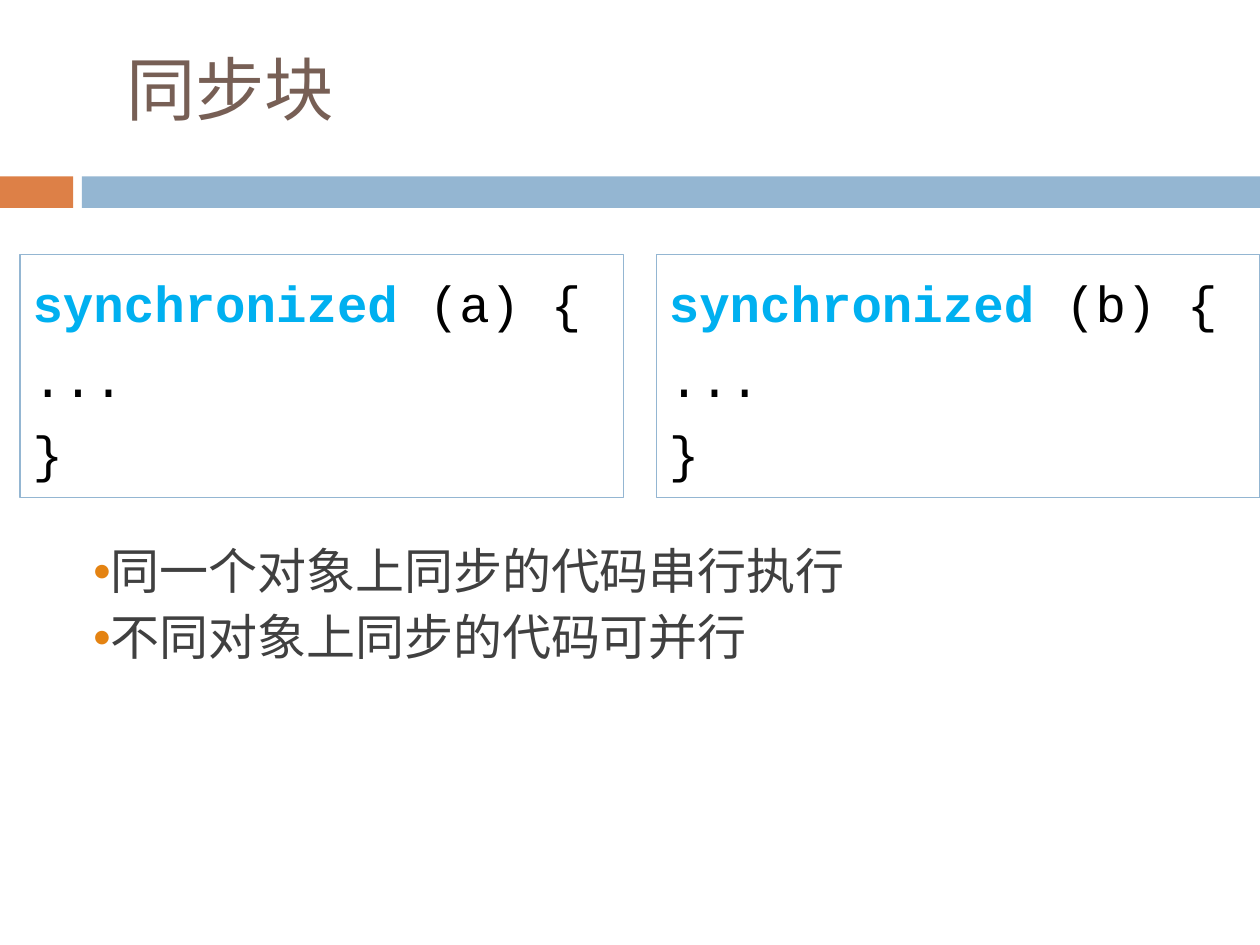
from lxml.etree import SubElement
from pptx import Presentation
from pptx.dml.color import RGBColor
from pptx.enum.shapes import MSO_SHAPE as Shape
from pptx.enum.text import MSO_ANCHOR as Anchor, PP_ALIGN as Align
from pptx.oxml.ns import qn
from pptx.util import Inches, Pt

ORANGE = RGBColor(0xDD, 0x80, 0x47)
BLUE = RGBColor(0x94, 0xB6, 0xD2)
BROWN = RGBColor(0x77, 0x5F, 0x55)
CYAN = RGBColor(0x00, 0xB0, 0xF0)
BLACK = RGBColor(0x00, 0x00, 0x00)
GREY = RGBColor(0x40, 0x40, 0x40)
BULLET_COLOR = "E48312"

CODE_LEFT, CODE_STEP = 0.16, 5.05
CODE_WIDTH, CODE_HEIGHT = 4.79, 1.93


def add_span(para, text, size, font, color, bold=False):
    span = para.add_run()
    span.text = text
    span.font.size = Pt(size)
    span.font.name = font
    span.font.color.rgb = color
    span.font.bold = bold
    return span


def add_chinese(para, text, size, font, color):
    span = add_span(para, text, size, font, color)
    SubElement(span.font._element, qn("a:ea"), typeface="Noto Sans CJK SC")


def next_para(frame, index):
    return frame.add_paragraph() if index else frame.paragraphs[0]


def add_rect(page, left, top, width, height):
    rect = page.shapes.add_shape(
        Shape.RECTANGLE, Inches(left), Inches(top), Inches(width), Inches(height))
    rect.shadow.inherit = False
    return rect


def add_bar(page, left, width, color):
    bar = add_rect(page, left, 1.4, width, 0.25)
    bar.fill.solid()
    bar.fill.fore_color.rgb = color
    bar.line.fill.background()


def set_title(page, text):
    title = page.shapes.title
    title.left, title.top = Inches(0.9), Inches(0.31)
    title.width, title.height = Inches(8.25), Inches(0.78)
    title.text_frame.vertical_anchor = Anchor.MIDDLE
    para = title.text_frame.paragraphs[0]
    para.alignment = Align.LEFT
    add_chinese(para, text, 39.6, "Calibri", BROWN)


def add_code(page, column, lock):
    box = add_rect(page, CODE_LEFT + column * CODE_STEP, 2.02, CODE_WIDTH, CODE_HEIGHT)
    box.fill.background()
    box.line.color.rgb = BLUE
    box.line.width = Pt(0.75)
    frame = box.text_frame
    frame.word_wrap = True
    frame.vertical_anchor = Anchor.TOP
    frame.margin_top = Inches(0.14)
    lines = [
        [("synchronized ", CYAN, True), (f"({lock}) {{", BLACK, False)],
        [("...", BLACK, False)],
        [("}", BLACK, False)],
    ]
    for index, line in enumerate(lines):
        para = next_para(frame, index)
        para.alignment = Align.LEFT
        if index:
            para.space_before = Pt(8)
        for text, color, bold in line:
            add_span(para, text, 29, "Courier New", color, bold)


def add_bullet(para):
    props = para._p.get_or_add_pPr()
    props.set("marL", str(Inches(0.1)))
    props.set("indent", str(-Inches(0.1)))
    color = SubElement(props, qn("a:buClr"))
    SubElement(color, qn("a:srgbClr"), val=BULLET_COLOR)
    SubElement(props, qn("a:buSzPct"), val="60000")
    SubElement(props, qn("a:buFont"), typeface="Calibri")
    SubElement(props, qn("a:buChar"), char="●")


def add_points(page, points):
    box = page.shapes.add_textbox(Inches(0.64), Inches(4.34), Inches(7.86), Inches(1.15))
    frame = box.text_frame
    frame.word_wrap = True
    frame.margin_top = 0
    for index, text in enumerate(points):
        para = next_para(frame, index)
        add_bullet(para)
        para.line_spacing = 0.9
        if index:
            para.space_before = Pt(7.5)
        add_chinese(para, text, 28, "Noto Sans CJK SC", GREY)


def main():
    deck = Presentation()
    deck.slide_width, deck.slide_height = Inches(10), Inches(7.5)
    page = deck.slides.add_slide(deck.slide_layouts[5])
    add_bar(page, 0, 0.58, ORANGE)
    add_bar(page, 0.65, 9.35, BLUE)
    set_title(page, "同步块")
    for column, lock in enumerate("ab"):
        add_code(page, column, lock)
    add_points(page, ["同一个对象上同步的代码串行执行", "不同对象上同步的代码可并行"])
    deck.save("out.pptx")


if __name__ == "__main__":
    main()
